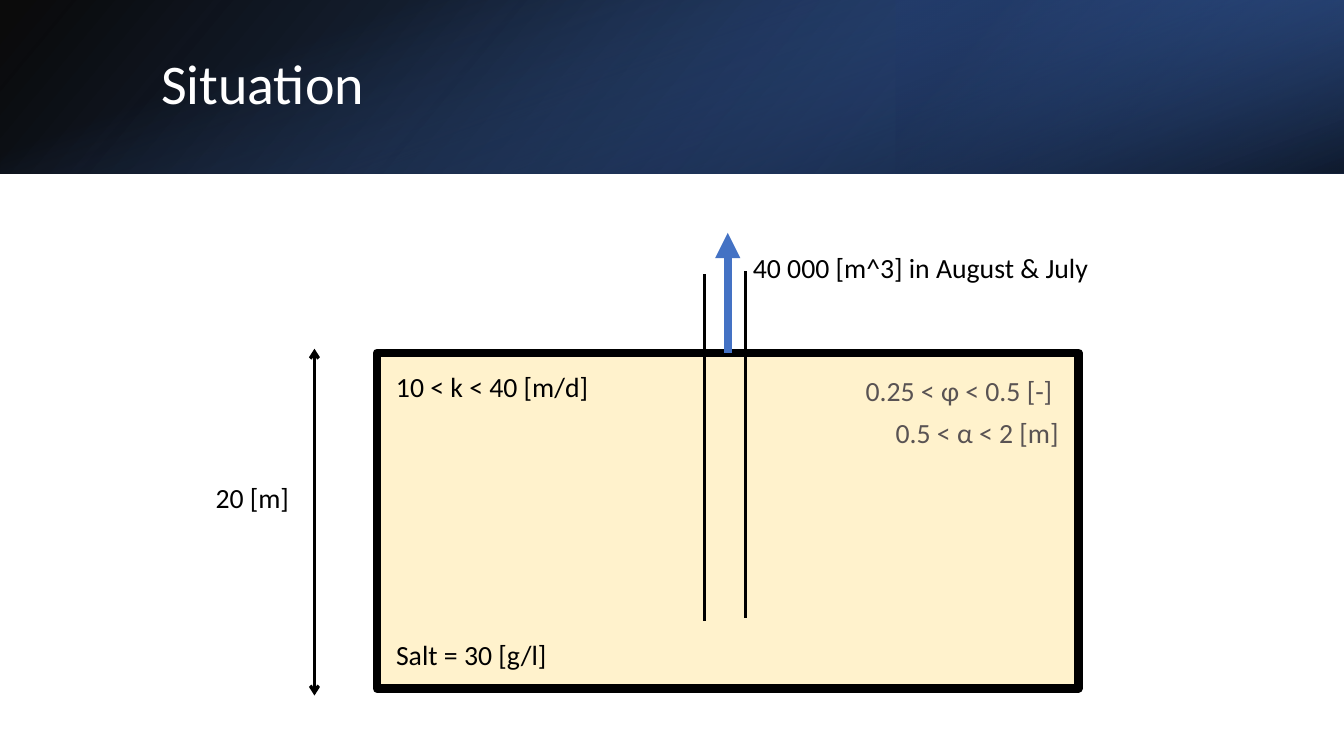
from dataclasses import dataclass

from lxml import etree
from pptx import Presentation, util as u
from pptx.dml.color import RGBColor
from pptx.enum import shapes, text
from pptx.oxml import parse_xml
from pptx.oxml.ns import nsdecls, qn

WIDTH, HEIGHT = u.Inches(13.33), u.Inches(7.5)
HEADER = 22.93
BLACK, BLUE, GREY, SAND, WHITE = "000000", "4472C4", "595353", "FFF2CC", "FFFFFF"


@dataclass(frozen=True)
class Box:
    left: float
    top: float
    width: float
    height: float


@dataclass(frozen=True)
class Stop:
    pos: int
    color: str
    alpha: int = 100


@dataclass(frozen=True)
class Band:
    box: Box
    stops: tuple[Stop, ...]
    angle: int
    rotation: int = 0
    flip: bool = False


@dataclass(frozen=True)
class Label:
    box: Box
    lines: tuple[str, ...]
    color: str = BLACK
    size: float = 19.8
    align: text.PP_ALIGN = text.PP_ALIGN.LEFT
    anchor: text.MSO_ANCHOR = text.MSO_ANCHOR.TOP
    spacing: float = 1.0
    after: float = 6


@dataclass(frozen=True)
class Line:
    x: float
    start: float
    end: float
    color: str = BLACK
    weight: float = 2.25
    head: str = ""
    tail: str = ""


def rgb(color: str) -> RGBColor:
    return RGBColor.from_string(color)


def x(share: float) -> int:
    return round(WIDTH * share / 100)


def y(share: float) -> int:
    return round(HEIGHT * share / 100)


def place(box: Box) -> tuple[int, int, int, int]:
    return x(box.left), y(box.top), x(box.width), y(box.height)


def add_band(s, band: Band) -> None:
    left, top, width, height = place(band.box)
    if band.rotation == 90:
        left, top = left + (width - height) // 2, top + (height - width) // 2
        width, height = height, width
    sp = s.shapes.add_shape(shapes.MSO_SHAPE.RECTANGLE, left, top, width, height)
    sp.shadow.inherit = False
    sp.rotation = band.rotation
    sp.line.fill.background()
    sp.fill.background()
    stops = "".join(
        f'<a:gs pos="{stop.pos * 1000}"><a:srgbClr val="{stop.color}">'
        f'<a:alpha val="{stop.alpha * 1000}"/></a:srgbClr></a:gs>'
        for stop in band.stops
    )
    gradient = parse_xml(
        f'<a:gradFill {nsdecls("a")} rotWithShape="1"><a:gsLst>{stops}</a:gsLst>'
        f'<a:lin ang="{band.angle * 60000}" scaled="0"/></a:gradFill>'
    )
    props = sp._element.spPr
    props.replace(props.find(qn("a:noFill")), gradient)
    if band.flip:
        props.find(qn("a:xfrm")).set("flipH", "1")


def add_label(s, label: Label) -> None:
    tf = s.shapes.add_textbox(*place(label.box)).text_frame
    tf.word_wrap = True
    tf.vertical_anchor = label.anchor
    tf.text = "\n".join(label.lines)
    for p in tf.paragraphs:
        p.alignment = label.align
        p.line_spacing = label.spacing
        p.space_after = u.Pt(label.after)
        p.font.name = "Calibri"
        p.font.size = u.Pt(label.size)
        p.font.color.rgb = rgb(label.color)


def add_line(s, line: Line):
    cxn = s.shapes.add_connector(
        shapes.MSO_CONNECTOR.STRAIGHT, x(line.x), y(line.start), x(line.x), y(line.end)
    )
    cxn.line.color.rgb = rgb(line.color)
    cxn.line.width = u.Pt(line.weight)
    ln = cxn.line._get_or_add_ln()
    for tag, kind in (("a:headEnd", line.head), ("a:tailEnd", line.tail)):
        if kind:
            etree.SubElement(ln, qn(tag), type=kind)
    etree.SubElement(cxn._element.spPr, qn("a:effectLst"))
    return cxn


def add_aquifer(s, box: Box):
    sp = s.shapes.add_shape(shapes.MSO_SHAPE.RECTANGLE, *place(box))
    sp.shadow.inherit = False
    sp.fill.solid()
    sp.fill.fore_color.rgb = rgb(SAND)
    sp.line.color.rgb = rgb(BLACK)
    sp.line.width = u.Pt(6)
    return sp


AQUIFER = Box(28.05, 46.67, 52.2, 44.4)
FULL_HEADER = Box(0, 0, 100, HEADER)
BANDS = (
    Band(FULL_HEADER, (Stop(0, BLACK, 96), Stop(100, "2F5597")), 140, flip=True),
    Band(Box(66.67, 0, 33.33, HEADER), (Stop(19, "203864", 68), Stop(100, BLUE, 79)),
         320, rotation=180, flip=True),
    Band(FULL_HEADER, (Stop(23, BLUE, 0), Stop(99, BLACK, 74)), 340, rotation=90),
)
LABELS = (
    Label(Box(11.25, 5.07, 82.35, 12.8), ("Situation",), WHITE, 40,
          anchor=text.MSO_ANCHOR.MIDDLE, spacing=0.9, after=0),
    Label(Box(15.3, 62.93, 8.33, 6), ("20 [m]",)),
    Label(Box(28.73, 48.27, 18.23, 6), ("10 < k < 40 [m/d]",)),
    Label(Box(28.73, 83.73, 15.9, 6), ("Salt = 30 [g/l]",)),
    Label(Box(55.28, 32.53, 29.55, 6), ("40 000 [m^3] in August & July",)),
    Label(Box(63.6, 48.8, 15.9, 10.4), ("0.25 < φ < 0.5 [-] ", "0.5 < α < 2 [m]"),
          GREY, align=text.PP_ALIGN.RIGHT),
)
DEPTH = Line(23.4, 46.13, 92, head="arrow", tail="arrow")
WELL_WALLS = (Line(52.43, 36.27, 82.13), Line(55.5, 35.87, 81.73))
PUMPING = Line(54.15, AQUIFER.top, 30.8, BLUE, 6, tail="triangle")


def main() -> None:
    prs = Presentation()
    prs.slide_width, prs.slide_height = WIDTH, HEIGHT
    s = prs.slides.add_slide(prs.slide_layouts[6])
    for band in BANDS:
        add_band(s, band)
    aquifer = add_aquifer(s, AQUIFER)
    add_line(s, PUMPING).begin_connect(aquifer, 0)
    for line in (DEPTH, *WELL_WALLS):
        add_line(s, line)
    for label in LABELS:
        add_label(s, label)
    prs.save("out.pptx")


if __name__ == "__main__":
    main()
